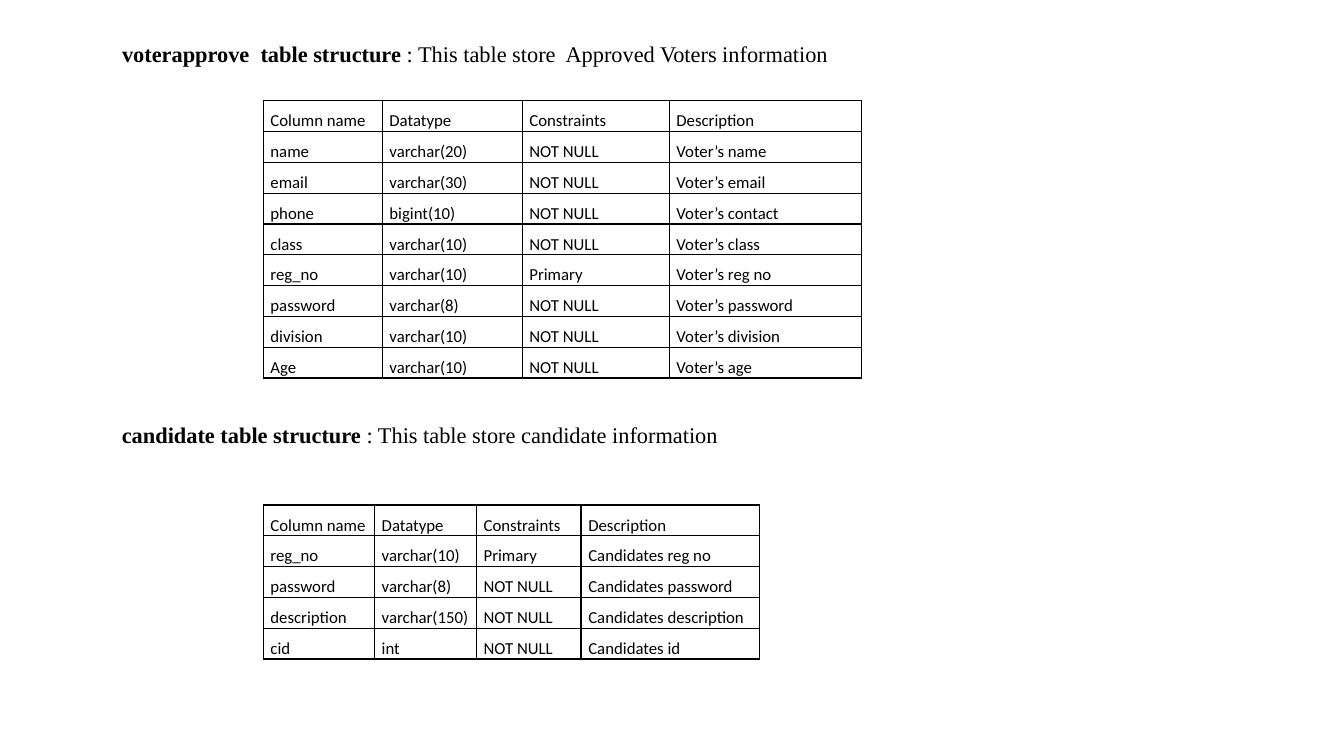
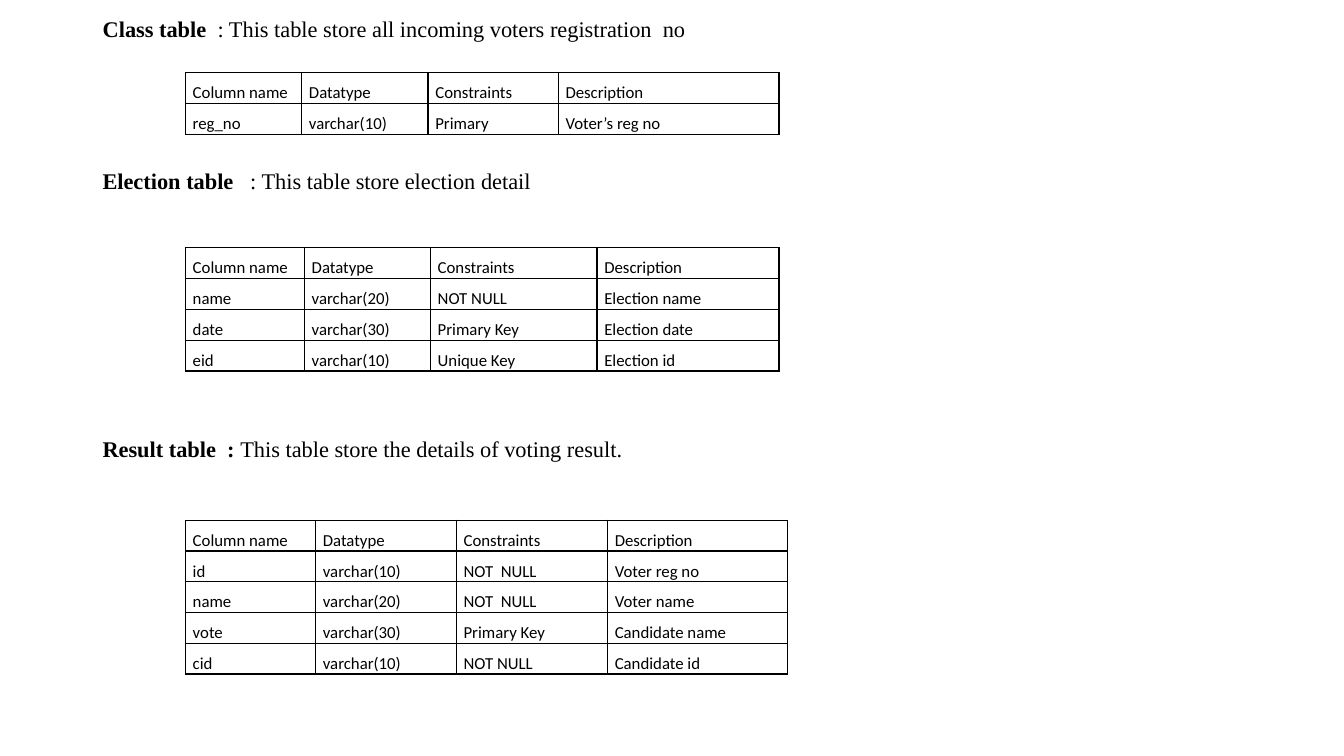
from dataclasses import dataclass

from lxml.etree import SubElement
from pptx import Presentation
from pptx.dml.color import RGBColor
from pptx.enum.text import MSO_ANCHOR, MSO_AUTO_SIZE, PP_ALIGN
from pptx.oxml.ns import qn
from pptx.util import Pt


@dataclass(frozen=True)
class Theme:
    ink: RGBColor = RGBColor(0, 0, 0)
    heading_font: str = "Times New Roman"
    heading_size: float = 16
    heading_spacing: float = 0.9
    table_font: str = "Calibri"
    table_size: float = 12
    table_spacing: float = 1.5
    border_width: float = 1


@dataclass(frozen=True)
class Section:
    name: str
    purpose: str
    heading_top: float
    table_top: float
    widths: tuple[float, ...]
    columns: tuple[tuple[str, ...], ...]


@dataclass(frozen=True)
class SchemaPage:
    heading_left: float
    table_left: float
    sections: tuple[Section, ...]


THEME = Theme()
PAGE_WIDTH, PAGE_HEIGHT = 960, 540
HEADING_WIDTH, HEADING_HEIGHT = 828, 26
ROW_HEIGHT = 22
CELL_INSET = 5.2
HEADER = ("Column name", "Datatype", "Constraints", "Description")

PAGES = (
    SchemaPage(80, 188, (
        Section(
            "voterapprove  table structure ",
            ": This table store  Approved Voters information",
            27.4, 72, (85, 100, 105, 137.5),
            (
                ("name", "varchar(20)", "NOT NULL", "Voter’s name"),
                ("email", "varchar(30)", "NOT NULL", "Voter’s email"),
                ("phone", "bigint(10)", "NOT NULL", "Voter’s contact"),
                ("class", "varchar(10)", "NOT NULL", "Voter’s class"),
                ("reg_no", "varchar(10)", "Primary", "Voter’s reg no"),
                ("password", "varchar(8)", "NOT NULL", "Voter’s password"),
                ("division", "varchar(10)", "NOT NULL", "Voter’s division"),
                ("Age", "varchar(10)", "NOT NULL", "Voter’s age"),
            ),
        ),
        Section(
            "candidate table structure ",
            ": This table store candidate information",
            299.5, 360.7, (79.5, 72.8, 74.8, 127.4),
            (
                ("reg_no", "varchar(10)", "Primary", "Candidates reg no"),
                ("password", "varchar(8)", "NOT NULL", "Candidates password"),
                ("description", "varchar(150)", "NOT NULL", "Candidates description"),
                ("cid", "int", "NOT NULL", "Candidates id"),
            ),
        ),
    )),
    SchemaPage(66.2, 132.5, (
        Section(
            "Class table  ",
            ": This table store all incoming voters registration  no",
            9.4, 51.8, (83, 90.3, 93, 157.7),
            (("reg_no", "varchar(10)", "Primary", "Voter’s reg no"),),
        ),
        Section(
            "Election table ",
            "  : This table store election detail",
            118, 177, (85, 90, 119, 130),
            (
                ("name", "varchar(20)", "NOT NULL", "Election name"),
                ("date", "varchar(30)", "Primary Key", "Election date"),
                ("eid", "varchar(10)", "Unique Key", "Election id"),
            ),
        ),
        Section(
            "Result table  : ",
            "This table store the details of voting result.",
            309.4, 371.5, (93, 100.5, 108, 128.5),
            (
                ("id", "varchar(10)", "NOT  NULL", "Voter reg no"),
                ("name", "varchar(20)", "NOT  NULL", "Voter name"),
                ("vote", "varchar(30)", "Primary Key", "Candidate name"),
                ("cid", "varchar(10)", "NOT NULL", "Candidate id"),
            ),
        ),
    )),
)


def add_span(para, text: str, *, font: str, size: float, bold: bool = False) -> None:
    span = para.add_run()
    span.text = text
    span.font.name = font
    span.font.size = Pt(size)
    span.font.bold = bold
    span.font.color.rgb = THEME.ink


def format_heading(box, left: float, section: Section) -> None:
    box.left, box.top = Pt(left), Pt(section.heading_top)
    box.width, box.height = Pt(HEADING_WIDTH), Pt(HEADING_HEIGHT)
    frame = box.text_frame
    frame.word_wrap = True
    frame.auto_size = MSO_AUTO_SIZE.NONE
    frame.vertical_anchor = MSO_ANCHOR.TOP
    para = frame.paragraphs[0]
    para.alignment = PP_ALIGN.JUSTIFY
    para.line_spacing = THEME.heading_spacing
    for text, bold in ((section.name, True), (section.purpose, False)):
        add_span(para, text, font=THEME.heading_font, size=THEME.heading_size, bold=bold)


def add_borders(cell) -> None:
    properties = cell._tc.get_or_add_tcPr()
    for side in ("a:lnL", "a:lnR", "a:lnT", "a:lnB"):
        line = SubElement(properties, qn(side), w=str(Pt(THEME.border_width)))
        fill = SubElement(line, qn("a:solidFill"))
        SubElement(fill, qn("a:srgbClr"), val=str(THEME.ink))


def format_cell(cell, text: str) -> None:
    add_borders(cell)
    cell.fill.background()
    cell.margin_left = cell.margin_right = Pt(CELL_INSET)
    cell.margin_top = cell.margin_bottom = Pt(0)
    para = cell.text_frame.paragraphs[0]
    para.line_spacing = THEME.table_spacing
    add_span(para, text, font=THEME.table_font, size=THEME.table_size)


def add_schema_table(page, left: float, section: Section) -> None:
    rows = (HEADER, *section.columns)
    table = page.shapes.add_table(
        len(rows), len(HEADER), Pt(left), Pt(section.table_top),
        Pt(sum(section.widths)), Pt(ROW_HEIGHT * len(rows)),
    ).table
    table.first_row = table.horz_banding = False
    for column, width in zip(table.columns, section.widths):
        column.width = Pt(width)
    for row, texts in zip(table.rows, rows):
        row.height = Pt(ROW_HEIGHT)
        for cell, text in zip(row.cells, texts):
            format_cell(cell, text)


def add_page(deck, content: SchemaPage) -> None:
    page = deck.slides.add_slide(deck.slide_layouts.get_by_name("Title Only"))
    for index, section in enumerate(content.sections):
        box = page.shapes.add_textbox(0, 0, 0, 0) if index else page.shapes.title
        format_heading(box, content.heading_left, section)
        add_schema_table(page, content.table_left, section)


def main() -> None:
    deck = Presentation()
    deck.slide_width, deck.slide_height = Pt(PAGE_WIDTH), Pt(PAGE_HEIGHT)
    for content in PAGES:
        add_page(deck, content)
    deck.save("out.pptx")


if __name__ == "__main__":
    main()
